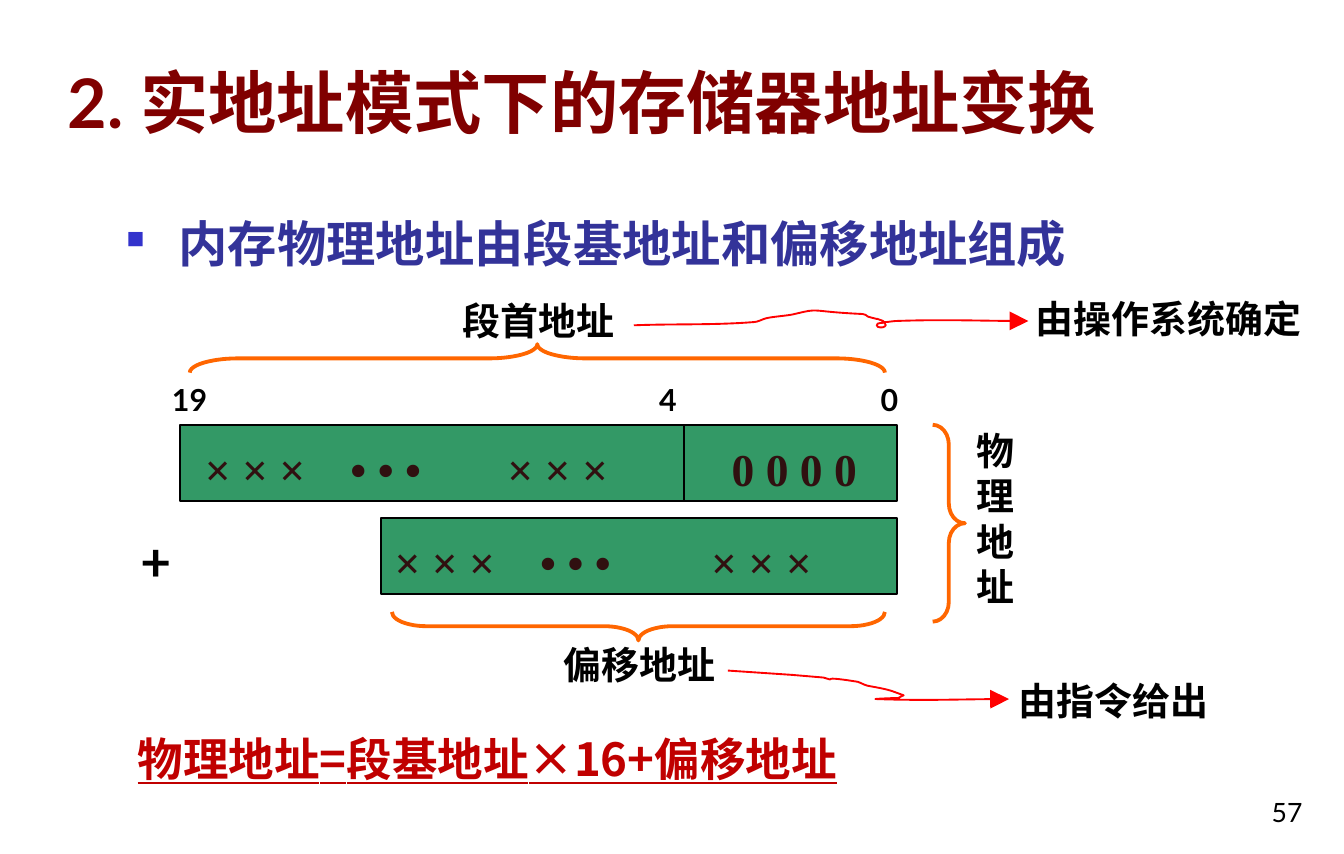
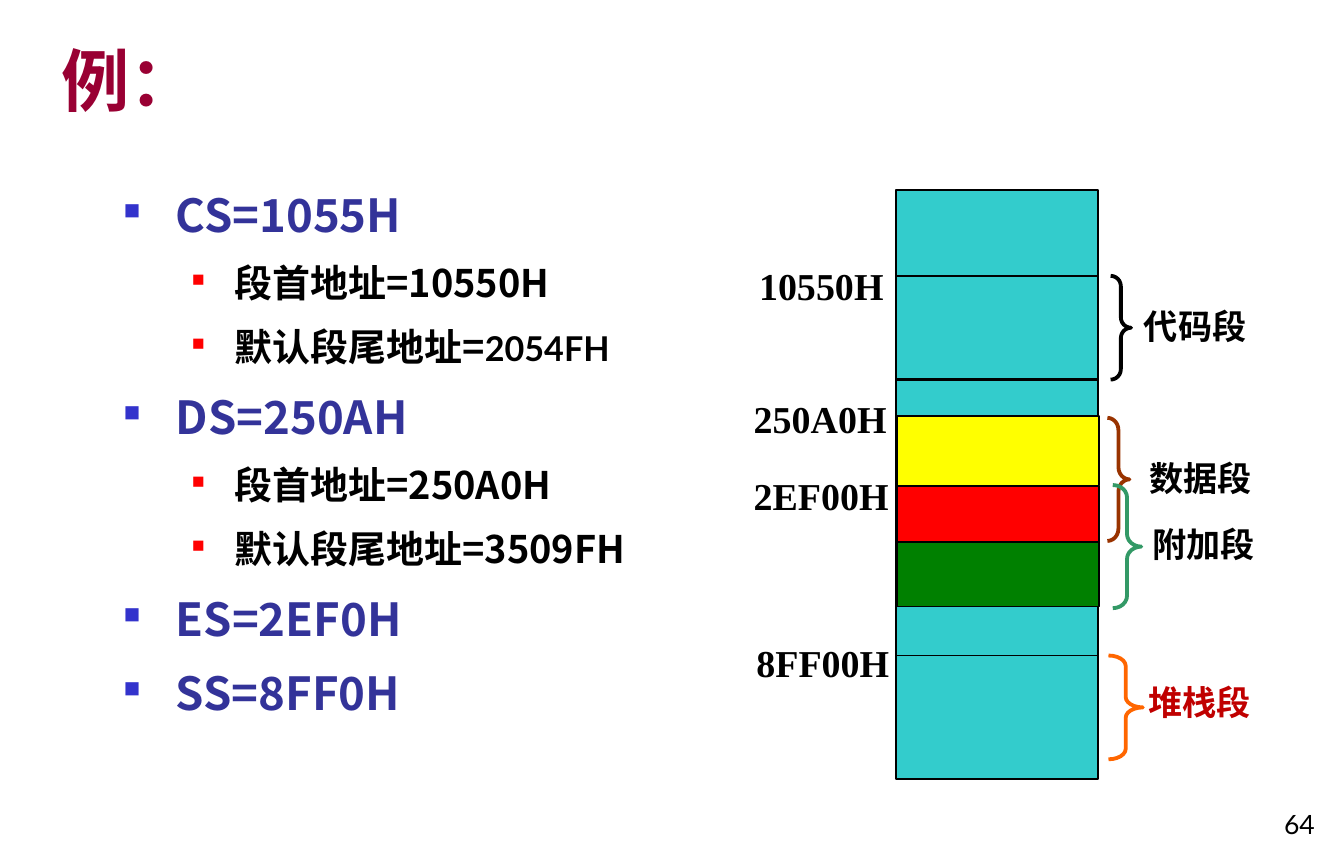
from lxml import etree
from pptx import Presentation
from pptx.dml.color import RGBColor
from pptx.enum.shapes import MSO_CONNECTOR, MSO_SHAPE
from pptx.enum.text import MSO_ANCHOR, PP_ALIGN
from pptx.oxml.ns import qn
from pptx.util import Cm, Pt

RECT = MSO_SHAPE.RECTANGLE
LEFT_BRACE, RIGHT_BRACE = MSO_SHAPE.LEFT_BRACE, MSO_SHAPE.RIGHT_BRACE
STRAIGHT = MSO_CONNECTOR.STRAIGHT
LEFT, CENTER, RIGHT = PP_ALIGN.LEFT, PP_ALIGN.CENTER, PP_ALIGN.RIGHT
TOP, BOTTOM = MSO_ANCHOR.TOP, MSO_ANCHOR.BOTTOM

BLACK = RGBColor(0x00, 0x00, 0x00)
MAROON = RGBColor(0x80, 0x00, 0x00)
CRIMSON = RGBColor(0x99, 0x00, 0x33)
DARK_RED = RGBColor(0xC0, 0x00, 0x00)
RED = RGBColor(0xFF, 0x00, 0x00)
INDIGO = RGBColor(0x33, 0x33, 0x99)
BLUE = RGBColor(0x33, 0x33, 0xCC)
GREEN = RGBColor(0x33, 0x99, 0x66)
DARK_GREEN = RGBColor(0x00, 0x80, 0x00)
ORANGE = RGBColor(0xFF, 0x66, 0x00)
BROWN = RGBColor(0x99, 0x33, 0x00)
YELLOW = RGBColor(0xFF, 0xFF, 0x00)
TEAL = RGBColor(0x33, 0xCC, 0xCC)
BIT_COLOR = RGBColor(0x30, 0x10, 0x10)

HAN, LATO, TIMES = "Noto Sans CJK SC", "Lato", "Times New Roman"

# Bullet levels: left margin and hanging indent in cm, bullet colour and percent
LEVELS = [(0.97, 0.97, BLUE, 50), (2.06, 0.79, RED, 46)]

# Slide 1: lengths in cm
ADDRESS_BODY = [(0, [("内存物理地址由段基地址和偏移地址组成", 26, HAN, INDIGO)])]
REGISTERS = [  # left, top, width, texts with their left edges
    (3.35, 7.9, 13.34, [(3.56, "× × ×"), (6.27, "• • •"), (9.19, "× × ×"), (13.36, "0 0 0 0")]),
    (7.09, 9.63, 9.6, [(7.09, "× × ×"), (9.8, "• • •"), (12.98, "× × ×")]),
]
REGISTER_H, DIVIDER_X = 1.42, 12.73
BIT_NUMBERS = [(2.95, "19"), (12.01, "4"), (16.13, "0")]
ADDRESS_LABELS = [  # left, top, width, text, alignment
    (8.03, 5.41, 3.96, "段首地址", CENTER),
    (10.24, 11.81, 4.65, "偏移地址", LEFT),
    (17.91, 7.82, 1.57, "物理地址", LEFT),
    (18.69, 12.47, 4.6, "由指令给出", LEFT),
    (19.02, 5.38, 5.87, "由操作系统确定", LEFT),
]
ADDRESS_BRACES = [
    (LEFT_BRACE, 3.53, 6.4, 12.93, 0.53),
    (RIGHT_BRACE, 7.29, 11.38, 9.17, 0.53),
    (RIGHT_BRACE, 17.35, 7.9, 0.6, 3.66),
]
# Each arrow: start, then steps of one point (line) or three (Bézier curve)
ARROWS = [
    [[(13.54, 12.47)], [(14.73, 12.55)], [(15.32, 12.6)],
     [(15.65, 12.7), (15.14, 12.55), (15.9, 12.67)],
     [(15.98, 12.67), (16.05, 12.73), (16.13, 12.75)],
     [(16.28, 12.78), (16.43, 12.8), (16.59, 12.85)], [(16.81, 12.93)],
     [(16.79, 12.95), (16.74, 12.95), (16.71, 12.98)],
     [(16.59, 12.98), (16.18, 13), (16.31, 13)],
     [(17.15, 13.03), (17.96, 13), (18.77, 13)]],
    [[(11.79, 6.05)], [(12.52, 6.02), (13.26, 6.05), (14.02, 5.99)],
     [(14.1, 5.99), (14.17, 5.94), (14.25, 5.92)],
     [(14.35, 5.89), (14.68, 5.87), (14.78, 5.84)],
     [(15.29, 5.72), (14.99, 5.79), (16.05, 5.84)],
     [(16.08, 5.84), (16.13, 5.87), (16.15, 5.89)],
     [(16.51, 5.99), (16.15, 5.87), (16.43, 5.97)],
     [(16.43, 5.99), (16.51, 6.05), (16.46, 6.07)],
     [(16.43, 6.1), (16.31, 6.1), (16.31, 6.05)],
     [(16.31, 5.99), (16.41, 6.02), (16.46, 5.99)],
     [(16.54, 5.99), (16.59, 5.97), (16.66, 5.97)],
     [(17.48, 5.94), (18.31, 5.97), (19.13, 5.97)]],
]

# Slide 2
SEGMENT_BODY = [
    (level, [(text, 20 if level else 24, HAN, BLACK if level else INDIGO)])
    for level, text in [
        (0, "CS=1055H"), (1, "段首地址=10550H"), (1, "默认段尾地址="),
        (0, "DS=250AH"), (1, "段首地址=250A0H"), (1, "默认段尾地址=3509FH"),
        (0, "ES=2EF0H"), (0, "SS=8FF0H"),
    ]
]
SEGMENT_BODY[2][1].append(("2054FH", 18, LATO, BLACK))
MEMORY_X, MEMORY_Y, MEMORY_W, MEMORY_H = 16.66, 3.53, 3.76, 10.95
MEMORY_LINES = [(5.13, 1), (7.06, 1.5), (7.77, 1), (9.02, 1), (10.06, 1), (12.19, 1)]
BLOCKS_X, BLOCKS_Y = 16.69, 7.73
BLOCKS = [(1.3, YELLOW), (1.05, RED), (1.2, DARK_GREEN)]
START_ADDRESSES = [(13.87, 4.75, "10550H"), (13.77, 7.24, "250A0H"),
                   (13.77, 8.66, "2EF00H"), (13.82, 11.76, "8FF00H")]
SEGMENTS = [  # brace box and colour, label position, text and colour
    ((20.66, 5.13, 0.38, 1.93), BLACK, (21.03, 5.56), "代码段", BLACK),
    ((20.6, 7.77, 0.41, 2.29), BROWN, (21.13, 8.38), "数据段", BLACK),
    ((20.7, 9.02, 0.53, 2.29), GREEN, (21.18, 9.6), "附加段", BLACK),
    ((20.62, 12.19, 0.64, 1.93), ORANGE, (21.11, 12.55), "堆栈段", DARK_RED),
]


def add_run(p, text, size, font, color, bold=True, underline=False):
    r = p.add_run()
    r.text = text
    f = r.font
    f.size, f.name, f.bold = Pt(size), font, bold
    f.color.rgb = color
    if underline:
        f.underline = True
    ea = etree.Element(qn("a:ea"), typeface=HAN)
    r._r.rPr.find(qn("a:latin")).addnext(ea)


def add_box(s, x, y, w, h=1.1, anchor=TOP):
    tf = s.shapes.add_textbox(Cm(x), Cm(y), Cm(w), Cm(h)).text_frame
    tf.word_wrap = True
    tf.vertical_anchor = anchor
    return tf


def add_label(s, x, y, w, text, size, font, color=BLACK, align=LEFT, **style):
    p = add_box(s, x, y, w).paragraphs[0]
    p.alignment = align
    add_run(p, text, size, font, color, **style)


def add_bullets(s, x, y, w, h, items, spacing):
    tf = add_box(s, x, y, w, h)
    for i, (level, runs) in enumerate(items):
        p = tf.paragraphs[0] if i == 0 else tf.add_paragraph()
        margin, hanging, color, percent = LEVELS[level]
        p.level = level
        p.line_spacing = spacing
        p.space_before = Pt(6 if i else 0)
        pPr = p._p.get_or_add_pPr()
        pPr.set("marL", str(Cm(margin)))
        pPr.set("indent", str(-Cm(hanging)))
        bu_color = etree.SubElement(pPr, qn("a:buClr"))
        etree.SubElement(bu_color, qn("a:srgbClr"), val=str(color))
        etree.SubElement(pPr, qn("a:buSzPct"), val=str(percent * 1000))
        etree.SubElement(pPr, qn("a:buChar"), char="■")
        for run in runs:
            add_run(p, *run)


def style_outline(sp, color, width, fill=None):
    sp.shadow.inherit = False
    if fill is None:
        sp.fill.background()
    else:
        sp.fill.solid()
        sp.fill.fore_color.rgb = fill
    sp.line.color.rgb = color
    sp.line.width = Pt(width)


def add_rect(s, x, y, w, h, fill):
    sp = s.shapes.add_shape(RECT, Cm(x), Cm(y), Cm(w), Cm(h))
    style_outline(sp, BLACK, 1, fill)


def add_line(s, x1, y1, x2, y2, width=1):
    line = s.shapes.add_connector(STRAIGHT, Cm(x1), Cm(y1), Cm(x2), Cm(y2))
    line.line.color.rgb = BLACK
    line.line.width = Pt(width)
    etree.SubElement(line._element.spPr, qn("a:effectLst"))


def add_brace(s, kind, x, y, w, h, color=ORANGE):
    """Fill the visible box; a wide box gets a brace turned by 90 degrees."""
    turned = w > h
    if turned:
        x, y, w, h = x + (w - h) / 2, y - (w - h) / 2, h, w
    sp = s.shapes.add_shape(kind, Cm(x), Cm(y), Cm(w), Cm(h))
    sp.rotation = 90 if turned else 0
    sp.adjustments[0] = (0.07 if turned else 0.1) * h / w
    style_outline(sp, color, 2)


def add_arrow(s, steps):
    """Draw lines through the step ends, then bend the three-point steps."""
    ends = [(Cm(x), Cm(y)) for *_, (x, y) in steps]
    builder = s.shapes.build_freeform(*ends[0])
    builder.add_line_segments(ends[1:], close=False)
    sp = builder.convert_to_shape()
    style_outline(sp, RED, 1)
    spPr = sp._element.spPr
    for segment, step in zip(list(spPr.iter(qn("a:lnTo"))), steps[1:]):
        if len(step) == 3:
            curve = etree.Element(qn("a:cubicBezTo"))
            for x, y in step:
                etree.SubElement(curve, qn("a:pt"),
                                 x=str(Cm(x) - sp.left), y=str(Cm(y) - sp.top))
            segment.getparent().replace(segment, curve)
    etree.SubElement(spPr.find(qn("a:ln")), qn("a:tailEnd"), type="triangle", w="lg", len="lg")


def add_slide(prs, title, color, title_box, number, number_pos):
    s = prs.slides.add_slide(prs.slide_layouts[5])
    ph = s.shapes.title
    ph.left, ph.top, ph.width, ph.height = map(Cm, title_box)
    tf = ph.text_frame
    tf.word_wrap = True
    tf.vertical_anchor = BOTTOM
    p = tf.paragraphs[0]
    p.alignment = LEFT
    add_run(p, title, 36, LATO, color)
    p = add_box(s, *number_pos, 1.57, 1.07, BOTTOM).paragraphs[0]
    p.alignment = RIGHT
    add_run(p, number, 14, LATO, BLACK, bold=False)
    return s


def build_address_slide(prs):
    s = add_slide(prs, "2. 实地址模式下的存储器地址变换", MAROON,
                  (1.01, 0.34, 21.84, 2.44), "57", (22.91, 14.45))
    add_bullets(s, 2.1, 3.73, 19.69, 1.5, ADDRESS_BODY, 1.1)
    add_label(s, 2.31, 13.46, 17.45, "物理地址=段基地址×16+偏移地址", 24, HAN, DARK_RED,
              underline=True)
    for x, y, w, texts in REGISTERS:
        add_rect(s, x, y, w, REGISTER_H, GREEN)
        for text_x, text in texts:
            add_label(s, text_x, y + 0.18, 3.5, text, 24, TIMES, BIT_COLOR)
    top = REGISTERS[0][1]
    add_line(s, DIVIDER_X, top, DIVIDER_X, top + REGISTER_H)
    for x, text in BIT_NUMBERS:
        add_label(s, x, 6.96, 1.57, text, 16, LATO)
    add_label(s, 2.36, 9.71, 1.4, "+", 28, LATO)
    for x, y, w, text, align in ADDRESS_LABELS:
        add_label(s, x, y, w, text, 20, HAN, align=align)
    for brace in ADDRESS_BRACES:
        add_brace(s, *brace)
    for steps in ARROWS:
        add_arrow(s, steps)


def build_segment_slide(prs):
    s = add_slide(prs, "例：", CRIMSON, (0.89, 0.53, 21.31, 1.83), "64", (23.14, 14.68))
    add_bullets(s, 2.05, 3.2, 12.22, 10.44, SEGMENT_BODY, 1.15)
    add_rect(s, MEMORY_X, MEMORY_Y, MEMORY_W, MEMORY_H, TEAL)
    for y, width in MEMORY_LINES:
        add_line(s, MEMORY_X, y, MEMORY_X + MEMORY_W, y, width)
    y = BLOCKS_Y
    for h, fill in BLOCKS:
        add_rect(s, BLOCKS_X, y, MEMORY_W, h, fill)
        y += h
    for x, y, text in START_ADDRESSES:
        add_label(s, x, y, 3.2, text, 20, TIMES)
    for box, brace_color, pos, text, color in SEGMENTS:
        add_brace(s, RIGHT_BRACE, *box, brace_color)
        add_label(s, *pos, 2.8, text, 18, HAN, color)


def main():
    prs = Presentation()
    prs.slide_width, prs.slide_height = Cm(25), Cm(15.88)
    build_address_slide(prs)
    build_segment_slide(prs)
    prs.save("out.pptx")


if __name__ == "__main__":
    main()
